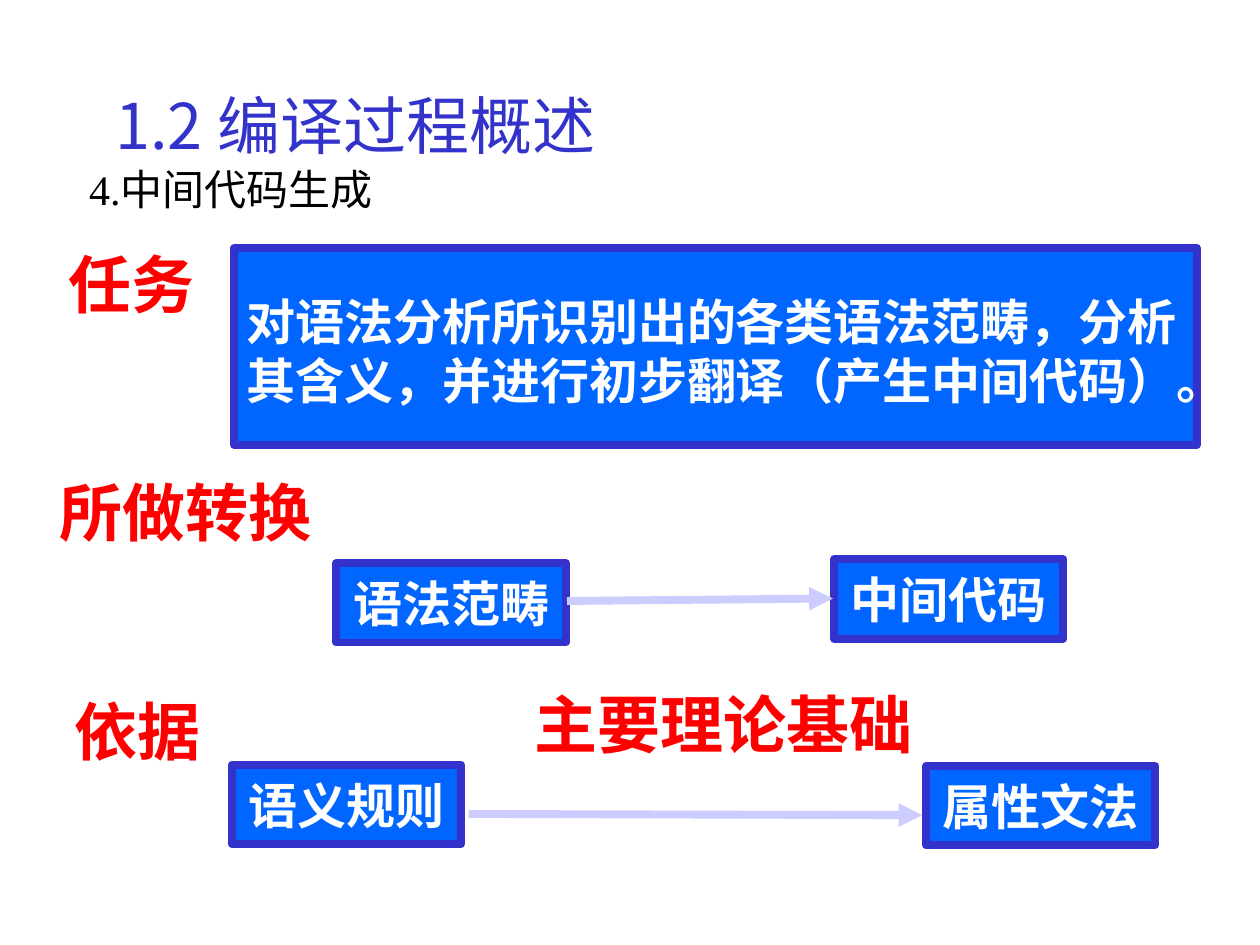
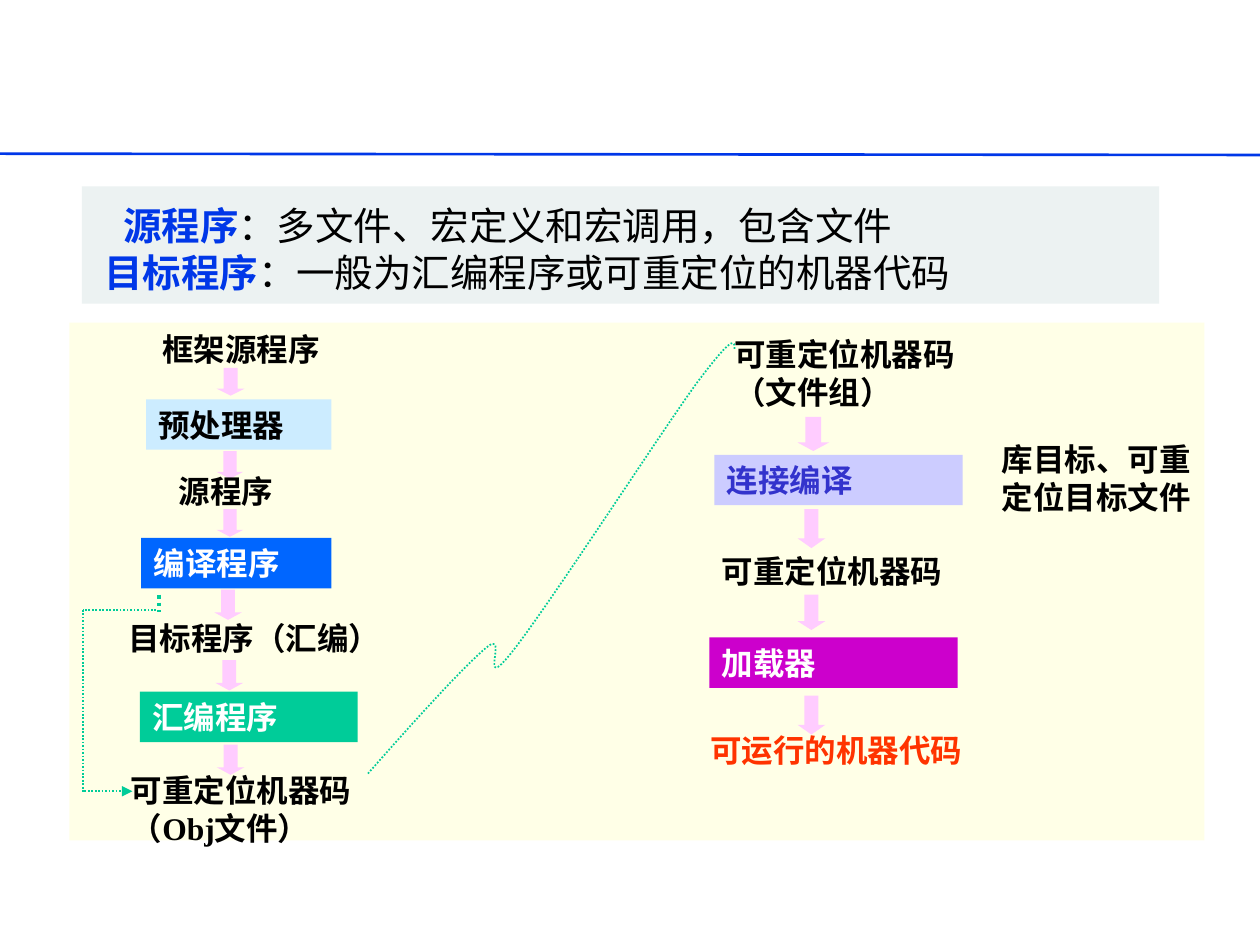
from lxml.etree import SubElement
from pptx import Presentation
from pptx.dml.color import RGBColor
from pptx.enum.dml import MSO_LINE
from pptx.enum.shapes import MSO_CONNECTOR, MSO_SHAPE
from pptx.enum.text import MSO_ANCHOR, MSO_AUTO_SIZE, PP_ALIGN
from pptx.oxml.ns import qn
from pptx.util import Inches, Pt

SANS = "Noto Sans CJK SC"
SERIF = "Times New Roman"
BLACK = RGBColor(0x00, 0x00, 0x00)
WHITE = RGBColor(0xFF, 0xFF, 0xFF)
RED = RGBColor(0xFF, 0x00, 0x00)
ORANGE = RGBColor(0xFF, 0x33, 0x00)
BLUE = RGBColor(0x00, 0x66, 0xFF)
INDIGO = RGBColor(0x33, 0x33, 0xCC)
LAVENDER = RGBColor(0xCC, 0xCC, 0xFF)
ROYAL = RGBColor(0x00, 0x37, 0xE8)
GREEN = RGBColor(0x00, 0xCC, 0x99)
SKY = RGBColor(0xCC, 0xEC, 0xFF)
PINK = RGBColor(0xFF, 0xCC, 0xFF)
PURPLE = RGBColor(0xCC, 0x00, 0xCC)
CREAM = RGBColor(0xFF, 0xFF, 0xE7)
MIST = RGBColor(0xEC, 0xF2, 0xF2)


def set_font(item, size, color, bold, name):
    """Format a paragraph or run, then give its runs the East Asian font."""
    font = item.font
    font.size, font.bold, font.name = Pt(size), bold, name
    font.color.rgb = color
    for r in getattr(item, "runs", [item]):
        SubElement(r._r.get_or_add_rPr(), qn("a:ea"), typeface=SANS)


def write(sp, text, size, color, bold=True, name=SANS,
          align=PP_ALIGN.LEFT, wrap=False, tight=False):
    """Fill a shape with uniform, vertically centred text."""
    tf = sp.text_frame
    tf.word_wrap = wrap
    tf.auto_size = MSO_AUTO_SIZE.NONE
    tf.vertical_anchor = MSO_ANCHOR.MIDDLE
    tf.text = text
    if tight:
        tf.margin_top = Inches(0.05) + Pt(size * 0.16)
    for p in tf.paragraphs:
        p.alignment = align
        if tight:
            p.line_spacing = Pt(size * 1.2)
        set_font(p, size, color, bold, name)


def add_text(s, at, text, size, color, **style):
    """Add a text box."""
    sp = s.shapes.add_textbox(*map(Inches, at))
    write(sp, text, size, color, **style)


def add_block(s, at, fill, border=None, shape=MSO_SHAPE.RECTANGLE):
    """Add a flat filled shape with an optional thick border."""
    sp = s.shapes.add_shape(shape, *map(Inches, at))
    sp.shadow.inherit = False
    sp.fill.solid()
    sp.fill.fore_color.rgb = fill
    if border is None:
        sp.line.fill.background()
    else:
        sp.line.color.rgb = border
        sp.line.width = Pt(4.5)
    return sp


def style_line(line, color, width, dotted=False):
    """Set colour, width and dash of a line."""
    line.color.rgb = color
    line.width = Pt(width)
    if dotted:
        line.dash_style = MSO_LINE.ROUND_DOT


def add_line(s, start, end, color, width, dotted=False, arrow=False):
    """Add a straight connector, with an arrowhead at its end if asked."""
    points = map(Inches, (*start, *end))
    c = s.shapes.add_connector(MSO_CONNECTOR.STRAIGHT, *points)
    style_line(c.line, color, width, dotted)
    if arrow:
        SubElement(c.line._get_or_add_ln(), qn("a:tailEnd"), type="triangle")
    SubElement(c._element.spPr, qn("a:effectLst"))


def add_down_arrow(s, x, y, w, h):
    """Add a pink flow arrow whose head is a quarter of its height."""
    sp = add_block(s, (x, y, w, h), PINK, shape=MSO_SHAPE.DOWN_ARROW)
    sp.adjustments[1] = h / w / 4


def add_curve(s, start, segments, steps=16):
    """Add a dotted open curve sampled from cubic Bezier segments."""
    points = []
    a = start
    for b, c, d in segments:
        for i in range(1, steps + 1):
            t = i / steps
            u = 1 - t
            points.append(tuple(
                Inches(u**3 * k + 3 * u*u*t * m + 3 * u*t*t * n + t**3 * q)
                for k, m, n, q in zip(a, b, c, d)))
        a = d
    builder = s.shapes.build_freeform(*map(Inches, start))
    builder.add_line_segments(points, close=False)
    sp = builder.convert_to_shape()
    sp.shadow.inherit = False
    sp.fill.background()
    style_line(sp.line, GREEN, 1, dotted=True)


def add_definitions(s):
    """Add the band that defines source and target programs."""
    sp = add_block(s, (0.65, 1.48, 8.55, 0.93), MIST)
    tf = sp.text_frame
    tf.word_wrap = True
    tf.vertical_anchor = MSO_ANCHOR.MIDDLE
    tf.margin_top = Inches(0.1)
    rows = [("源程序", "：多文件、宏定义和宏调用，包含文件", 0.23),
            ("目标程序", "：一般为汇编程序或可重定位的机器代码", 0.08)]
    for i, (term, meaning, indent) in enumerate(rows):
        p = tf.paragraphs[0] if i == 0 else tf.add_paragraph()
        p.alignment = PP_ALIGN.LEFT
        p.line_spacing = Pt(27)
        p._p.get_or_add_pPr().set("marL", str(Inches(indent)))
        for text, color, bold in ((term, ROYAL, True), (meaning, BLACK, False)):
            r = p.add_run()
            r.text = text
            set_font(r, 22, color, bold, SANS)


def build_code_generation(prs):
    """Build the slide on intermediate code generation."""
    s = prs.slides.add_slide(prs.slide_layouts[5])
    title = s.shapes.title
    title.left, title.top, title.width, title.height = map(
        Inches, (0.46, 0.61, 4.72, 0.75))
    write(title, "1.2 编译过程概述", 36, INDIGO, bold=False,
          align=PP_ALIGN.CENTER)
    add_text(s, (0.61, 1.21, 3.4, 0.57), "4.中间代码生成", 24, BLACK,
             bold=False, name=SERIF)
    headings = [("任务", 0.44, 1.9, 1.2), ("所做转换", 0.37, 3.71, 2.2),
                ("依据", 0.49, 5.45, 1.2), ("主要理论基础", 4.14, 5.39, 3.2)]
    for text, x, y, w in headings:
        add_text(s, (x, y, w, 0.7), text, 36, RED, align=PP_ALIGN.CENTER)
    terms = [("语义规则", 1.84, 6.07), ("属性文法", 7.35, 6.08),
             ("语法范畴", 2.67, 4.47), ("中间代码", 6.62, 4.44)]
    for text, x, y in terms:
        sp = add_block(s, (x, y, 1.82, 0.63), BLUE, INDIGO)
        write(sp, text, 28, WHITE, align=PP_ALIGN.CENTER)
    task = add_block(s, (1.86, 1.97, 7.64, 1.56), BLUE, INDIGO)
    write(task, "对语法分析所识别出的各类语法范畴，分析其含义，"
          "并进行初步翻译（产生中间代码）。", 28, WHITE, wrap=True, tight=True)
    add_line(s, (4.5, 4.77), (6.61, 4.75), LAVENDER, 4.5, arrow=True)
    add_line(s, (3.72, 6.46), (7.32, 6.47), LAVENDER, 4.5, arrow=True)


def build_toolchain(prs):
    """Build the slide that follows a program from source to machine code."""
    s = prs.slides.add_slide(prs.slide_layouts[6])
    add_block(s, (0.55, 2.56, 9.01, 4.11), CREAM)
    add_line(s, (0, 1.22), (10, 1.23), ROYAL, 1.5)
    add_definitions(s)

    tools = [("预处理器", 1.16, 3.17, 1.47, SKY, BLACK),
             ("编译程序", 1.12, 4.27, 1.51, BLUE, WHITE),
             ("汇编程序", 1.11, 5.49, 1.73, GREEN, WHITE),
             ("连接编译", 5.67, 3.61, 1.97, LAVENDER, INDIGO),
             ("加载器", 5.63, 5.06, 1.97, PURPLE, WHITE)]
    for text, x, y, w, fill, color in tools:
        sp = add_block(s, (x, y, w, 0.4), fill)
        write(sp, text, 18, color, name=SERIF, wrap=True)

    arrows = [(1.72, 2.92, 0.22, 0.22), (1.72, 3.58, 0.21, 0.22),
              (1.72, 4.04, 0.21, 0.22), (1.7, 4.68, 0.22, 0.24),
              (1.71, 5.24, 0.22, 0.24), (1.72, 5.91, 0.22, 0.24),
              (6.33, 3.31, 0.25, 0.27), (6.33, 4.04, 0.22, 0.31),
              (6.33, 4.72, 0.22, 0.28), (6.33, 5.52, 0.22, 0.31)]
    for arrow in arrows:
        add_down_arrow(s, *arrow)

    products = [("框架源程序", 1.19, 2.57, 1.46, BLACK),
                ("源程序", 1.32, 3.7, 0.96, BLACK),
                ("目标程序（汇编）", 0.92, 4.86, 2.22, BLACK),
                ("可重定位机器码\n（Obj文件）", 0.94, 6.05, 1.96, BLACK),
                ("可重定位机器码\n（文件组）", 5.73, 2.59, 1.96, BLACK),
                ("库目标、可重\n定位目标文件", 7.85, 3.42, 1.71, BLACK),
                ("可重定位机器码", 5.63, 4.33, 1.96, BLACK),
                ("可运行的机器代码", 5.54, 5.75, 2.22, ORANGE)]
    for text, x, y, w, color in products:
        two_lines = "\n" in text
        add_text(s, (x, y, w, 0.7 if two_lines else 0.4), text, 18, color,
                 name=SERIF, tight=two_lines)

    add_curve(s, (2.92, 6.14), [
        ((3.29, 5.72), (3.67, 5.3), (3.86, 5.14)),
        ((4.05, 4.98), (3.78, 5.53), (4.06, 5.18)),
        ((4.34, 4.83), (5.24, 3.44), (5.53, 3.04)),
        ((5.83, 2.64), (5.83, 2.71), (5.83, 2.77))])
    add_line(s, (1.26, 4.72), (1.26, 4.86), GREEN, 2.25, dotted=True)
    add_line(s, (1.24, 4.84), (0.66, 4.84), GREEN, 1, dotted=True)
    add_line(s, (0.66, 4.84), (0.66, 6.29), GREEN, 1, dotted=True)
    add_line(s, (0.67, 6.28), (1.05, 6.28), GREEN, 1, dotted=True, arrow=True)


def main():
    """Build and save the presentation."""
    prs = Presentation()
    prs.slide_width, prs.slide_height = Inches(10), Inches(7.5)
    build_code_generation(prs)
    build_toolchain(prs)
    prs.save("out.pptx")


if __name__ == "__main__":
    main()
